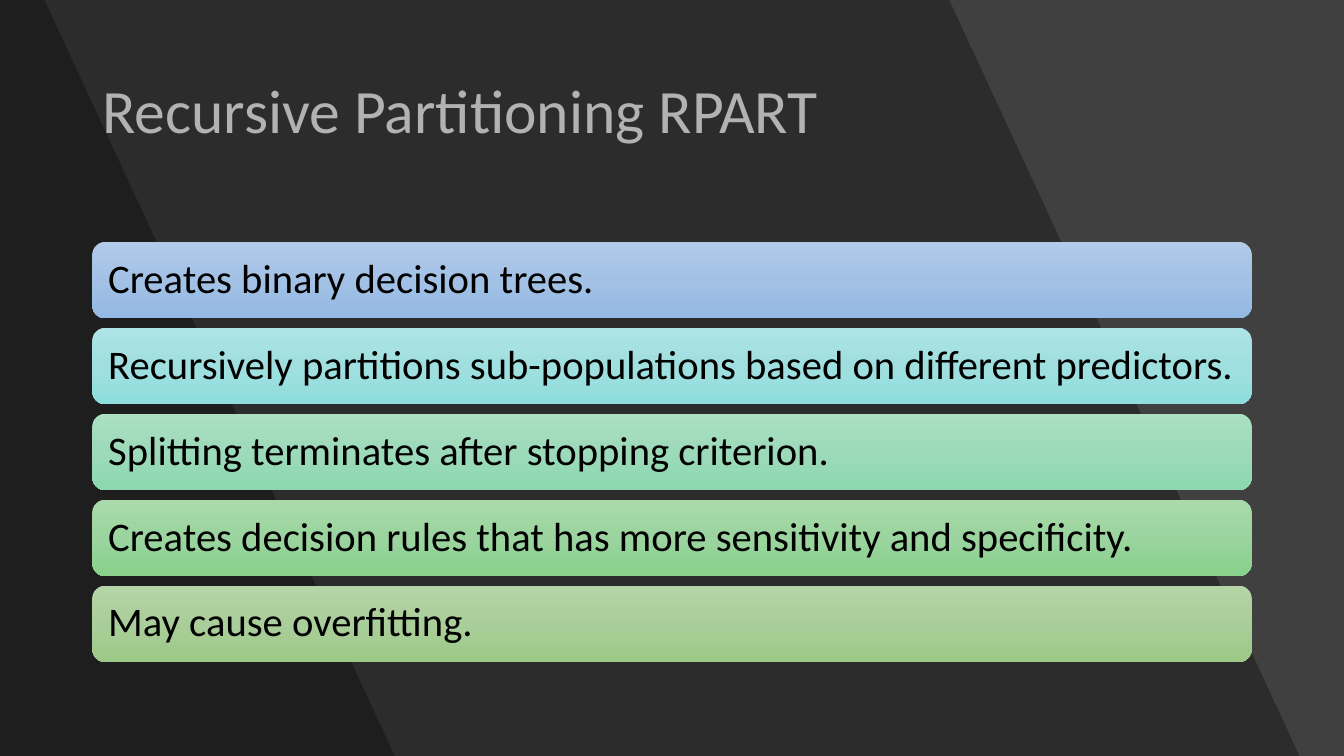
from copy import deepcopy

from lxml.etree import SubElement
from pptx import Presentation
from pptx.dml.color import RGBColor
from pptx.enum.shapes import MSO_SHAPE
from pptx.enum.text import MSO_ANCHOR, PP_ALIGN
from pptx.oxml.ns import qn
from pptx.util import Inches, Pt

COLORS = {
    "background": "404040",
    "shade": "000000",
    "title": "FFFFFF",
    "text": "000000",
    "blue": ("B1CBE9", "A3C1E5", "93B9E4"),
    "teal": ("AEE4E5", "A0DFDF", "8FDEDE"),
    "mint": ("ABE0C3", "9DDAB9", "8CD8AF"),
    "green": ("A9DAAB", "9BD49E", "89D18C"),
    "olive": ("B5D5A7", "AACE9A", "9CC987"),
}


class Deck:
    font = "Calibri"
    columns, rows = 160, 90

    def __init__(self, width, height):
        self.presentation = Presentation()
        self.presentation.slide_width = Inches(width)
        self.presentation.slide_height = Inches(height)
        self.slide = self.presentation.slides.add_slide(self.presentation.slide_layouts[5])
        fill = self.slide.background.fill
        fill.solid()
        fill.fore_color.rgb = RGBColor.from_string(COLORS["background"])

    def x(self, column):
        return round(self.presentation.slide_width * column / self.columns)

    def y(self, row):
        return round(self.presentation.slide_height * row / self.rows)

    def box(self, left, top, width, height):
        return self.x(left), self.y(top), self.x(width), self.y(height)

    def set_text(self, frame, text, size, color):
        frame.text = text
        frame.word_wrap = True
        frame.vertical_anchor = MSO_ANCHOR.MIDDLE
        paragraph = frame.paragraphs[0]
        paragraph.alignment = PP_ALIGN.LEFT
        paragraph.line_spacing = 0.9
        paragraph.font.name = self.font
        paragraph.font.size = Pt(size)
        paragraph.font.color.rgb = RGBColor.from_string(COLORS[color])

    def title(self, text, *cells):
        heading = self.slide.shapes.title
        heading.left, heading.top, heading.width, heading.height = self.box(*cells)
        self.set_text(heading.text_frame, text, 44, "title")

    def shade(self, top_edge, bottom_edge, opacity):
        builder = self.slide.shapes.build_freeform(0, 0)
        corners = [(top_edge, 0), (bottom_edge, self.rows), (0, self.rows)]
        builder.add_line_segments([(self.x(column), self.y(row)) for column, row in corners])
        band = builder.convert_to_shape()
        band.shadow.inherit = False
        band.line.fill.background()
        band.fill.solid()
        band.fill.fore_color.rgb = RGBColor.from_string(COLORS["shade"])
        color = next(band._element.spPr.iter(qn("a:srgbClr")))
        SubElement(color, qn("a:alpha"), val=str(opacity * 1000))

    def bar(self, text, gradient, *cells):
        bar = self.slide.shapes.add_shape(MSO_SHAPE.ROUNDED_RECTANGLE, *self.box(*cells))
        bar.shadow.inherit = False
        bar.line.fill.background()
        bar.fill.gradient()
        bar.fill.gradient_angle = 270
        first = next(bar._element.spPr.iter(qn("a:gs")))
        first.addnext(deepcopy(first))
        for stop, color, position in zip(bar.fill.gradient_stops, COLORS[gradient], (0, 0.5, 1)):
            stop.color.rgb = RGBColor.from_string(color)
            stop.position = position
        frame = bar.text_frame
        frame.margin_left = frame.margin_right = Inches(0.12)
        frame.margin_top = frame.margin_bottom = Inches(0.12)
        self.set_text(frame, text, 29, "text")


deck = Deck(13.33, 7.5)
deck.shade(113, 154.7, 30)
deck.shade(5.3, 47, 30)
deck.title("Recursive Partitioning RPART", 11, 4.8, 138, 17.4)

points = [
    ("Creates binary decision trees.", "blue"),
    ("Recursively partitions sub-populations based on different predictors.", "teal"),
    ("Splitting terminates after stopping criterion.", "mint"),
    ("Creates decision rules that has more sensitivity and specificity.", "green"),
    ("May cause overfitting.", "olive"),
]
first_row, row_step = 28.8, 10.23
for index, (point, gradient) in enumerate(points):
    deck.bar(point, gradient, 11, first_row + index * row_step, 138, 9.1)

deck.presentation.save("out.pptx")
